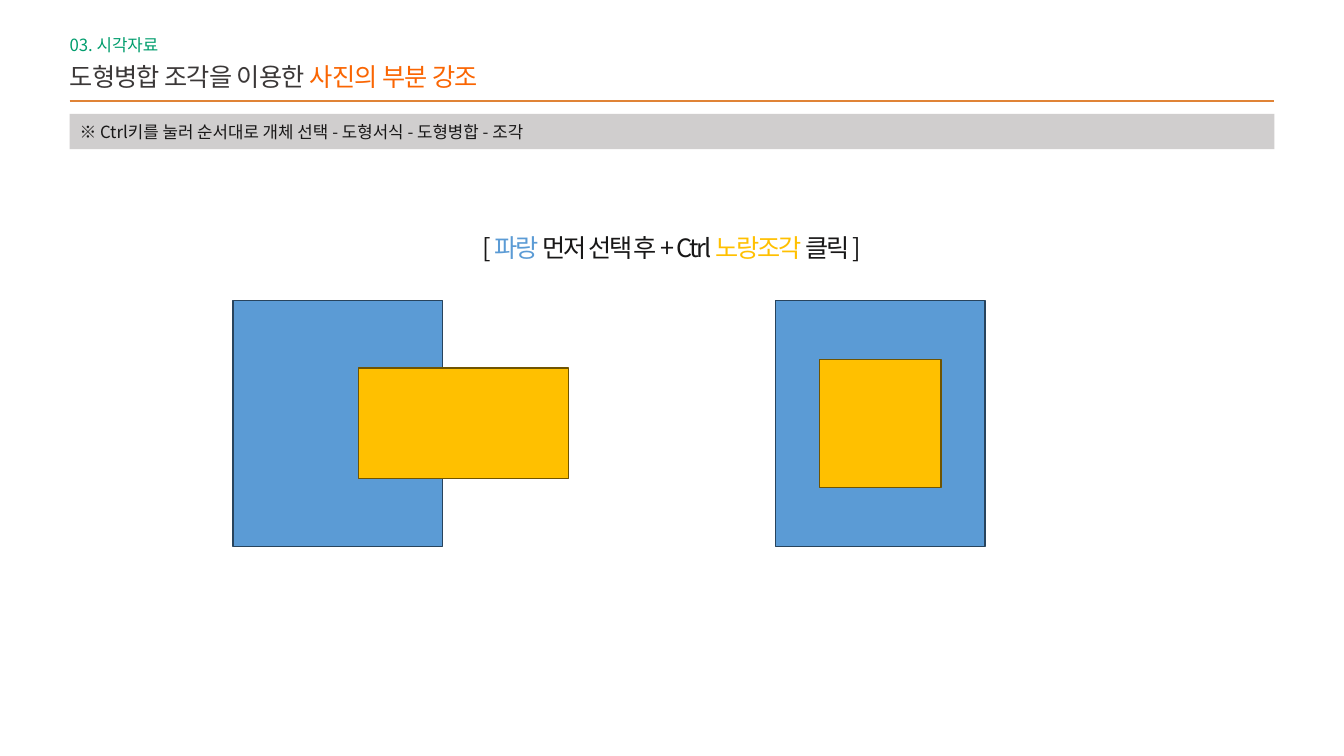
from lxml import etree
from pptx import Presentation
from pptx.dml.color import RGBColor
from pptx.enum.shapes import MSO_CONNECTOR, MSO_SHAPE
from pptx.enum.text import MSO_ANCHOR, MSO_AUTO_SIZE, PP_ALIGN
from pptx.oxml.ns import qn
from pptx.util import Inches, Pt

RECTANGLE = MSO_SHAPE.RECTANGLE
STRAIGHT = MSO_CONNECTOR.STRAIGHT
TOP, MIDDLE = MSO_ANCHOR.TOP, MSO_ANCHOR.MIDDLE
LEFT, CENTER = PP_ALIGN.LEFT, PP_ALIGN.CENTER
FIT_SHAPE, NO_FIT = MSO_AUTO_SIZE.SHAPE_TO_FIT_TEXT, MSO_AUTO_SIZE.NONE

FONT = "Noto Sans CJK KR"
GREEN = RGBColor(0x01, 0x9D, 0x6D)
ORANGE = RGBColor(0xFA, 0x65, 0x02)
RULE_ORANGE = RGBColor(0xE0, 0x83, 0x36)
CHARCOAL = RGBColor(0x3B, 0x38, 0x38)
INK = RGBColor(0x18, 0x17, 0x17)
GRAY = RGBColor(0xD0, 0xCE, 0xCE)
BLUE = RGBColor(0x5B, 0x9B, 0xD5)
BLUE_EDGE = RGBColor(0x28, 0x44, 0x5D)
YELLOW = RGBColor(0xFF, 0xC0, 0x00)
YELLOW_EDGE = RGBColor(0x70, 0x54, 0x00)

SLIDE_WIDTH, SLIDE_HEIGHT = 13.33, 7.5
MARGIN = 0.69
CONTENT_WIDTH = SLIDE_WIDTH - 2 * MARGIN
HEADING_FRAME = {"margin_left": 0, "margin_right": Inches(0.1),
                 "margin_top": Inches(0.05), "margin_bottom": Inches(0.05),
                 "vertical_anchor": TOP}


def inches(*lengths):
    return [Inches(length) for length in lengths]


def write(shape, runs, size, align=LEFT, spacing=0, frame_format=None):
    """Fill a shape with one paragraph of (text, colour) runs."""
    frame = shape.text_frame
    for attribute, value in (frame_format or {}).items():
        setattr(frame, attribute, value)
    paragraph = frame.paragraphs[0]
    paragraph.alignment = align
    for text, color in runs:
        run = paragraph.add_run()
        run.text = text
        run.font.size = Pt(size)
        run.font.name = FONT
        run.font.color.rgb = color
        properties = run.font._element
        etree.SubElement(properties, qn("a:ea")).set("typeface", FONT)
        if spacing:
            properties.set("spc", str(round(spacing * 100)))


def add_rectangle(slide, box, fill, edge=None):
    rectangle = slide.shapes.add_shape(RECTANGLE, *inches(*box))
    rectangle.shadow.inherit = False
    rectangle.fill.solid()
    rectangle.fill.fore_color.rgb = fill
    if edge is None:
        rectangle.line.fill.background()
    else:
        rectangle.line.color.rgb = edge
        rectangle.line.width = Pt(1)
    return rectangle


def add_heading(slide, left, top, width):
    section = slide.shapes.add_textbox(*inches(left, top, 1.07, 0.3))
    write(section, [("03. 시각자료", GREEN)], 12,
          frame_format=HEADING_FRAME | {"word_wrap": False, "auto_size": FIT_SHAPE})

    title = slide.shapes.title
    title.left, title.top, title.width, title.height = inches(left, top + 0.26, 5.44, 0.4)
    write(title, [("도형병합 조각을 이용한 ", CHARCOAL), ("사진의 부분 강조", ORANGE)], 18,
          spacing=-0.5, frame_format=HEADING_FRAME | {"word_wrap": True, "auto_size": NO_FIT})

    rule = slide.shapes.add_connector(
        STRAIGHT, *inches(left, top + 0.7, left + width, top + 0.7))
    rule.line.color.rgb = RULE_ORANGE
    rule.line.width = Pt(1.5)
    etree.SubElement(rule._element.spPr, qn("a:effectLst"))


def add_tip_bar(slide, box):
    bar = add_rectangle(slide, box, GRAY)
    write(bar, [("※ Ctrl키를 눌러 순서대로 개체 선택 - 도형서식 - 도형병합 - 조각", INK)], 12,
          frame_format={"vertical_anchor": MIDDLE, "word_wrap": True})


def add_instruction(slide, box):
    instruction = slide.shapes.add_textbox(*inches(*box))
    runs = [("[ ", INK), ("파랑", BLUE), (" 먼저 선택 후 + Ctrl ", INK),
            ("노랑조각", YELLOW), (" 클릭 ]", INK)]
    write(instruction, runs, 18, CENTER, -1.5, {"word_wrap": True, "auto_size": FIT_SHAPE})


def add_overlap_example(slide, box, piece):
    """Draw a blue box with a yellow piece, given as shares of the blue box."""
    left, top, width, height = box
    across, down, piece_width, piece_height = piece
    add_rectangle(slide, box, BLUE, BLUE_EDGE)
    add_rectangle(slide, (left + across * width, top + down * height,
                          piece_width * width, piece_height * height), YELLOW, YELLOW_EDGE)


def main():
    presentation = Presentation()
    presentation.slide_width, presentation.slide_height = inches(SLIDE_WIDTH, SLIDE_HEIGHT)
    slide = presentation.slides.add_slide(presentation.slide_layouts[5])

    add_heading(slide, MARGIN, 0.3, CONTENT_WIDTH)
    add_tip_bar(slide, (MARGIN, 1.13, CONTENT_WIDTH, 0.35))
    add_instruction(slide, ((SLIDE_WIDTH - 4.72) / 2, 2.26, 4.72, 0.4))
    examples = [(2.31, (0.6, 0.275, 1, 0.45)), (7.69, (0.21, 0.24, 0.58, 0.52))]
    for left, piece in examples:
        add_overlap_example(slide, (left, 2.98, 2.08, 2.44), piece)

    presentation.save("out.pptx")


if __name__ == "__main__":
    main()
